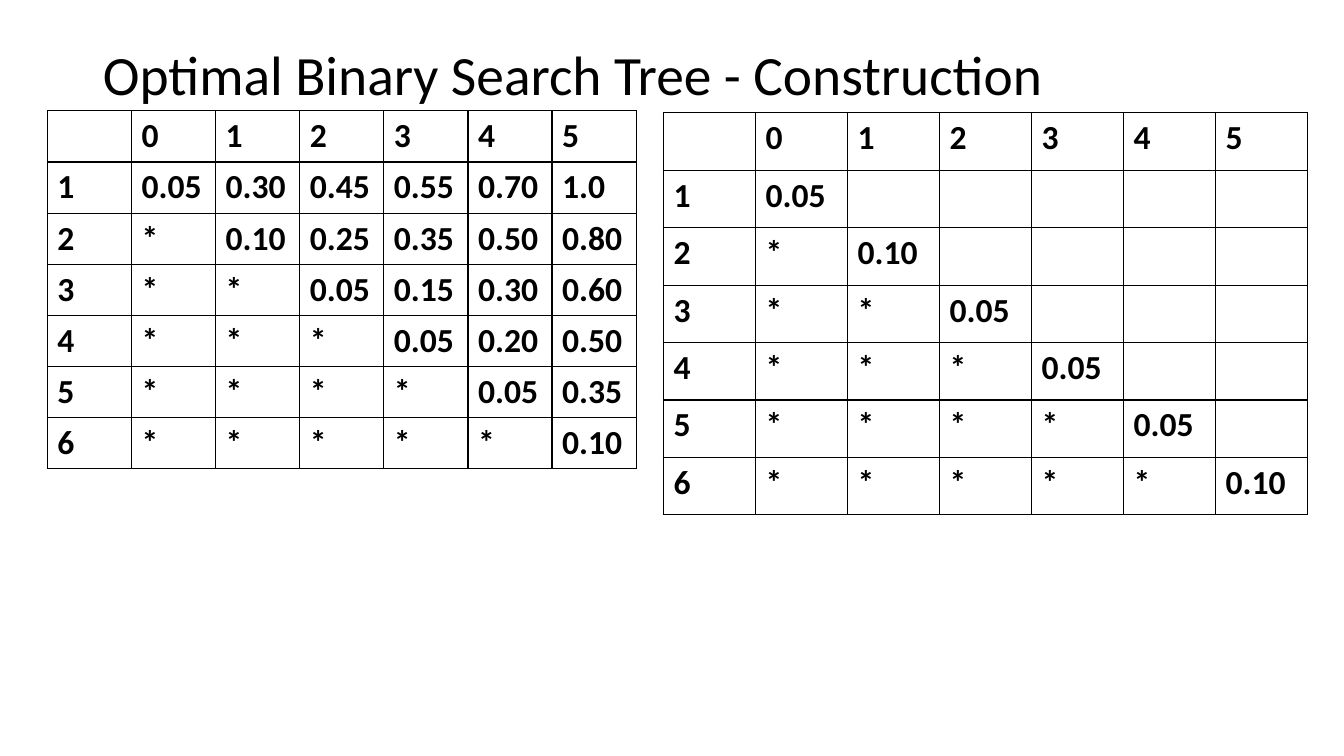
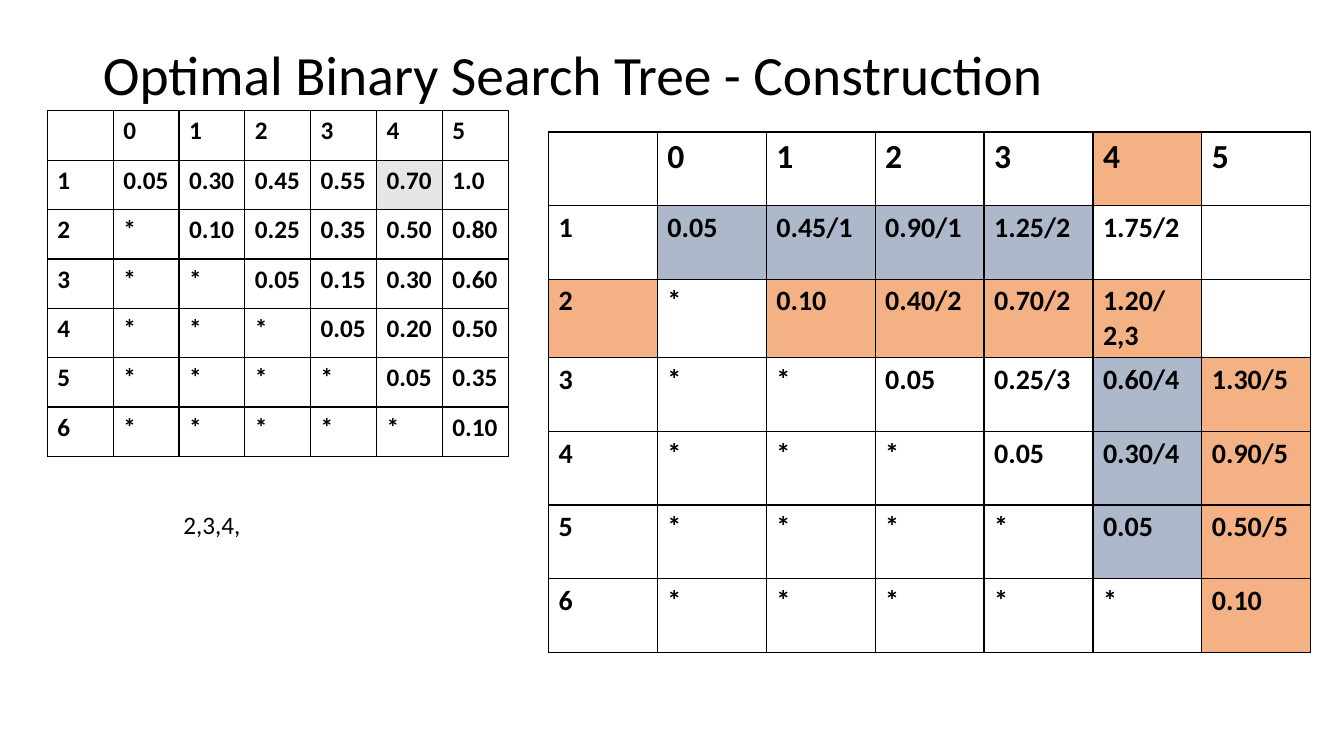
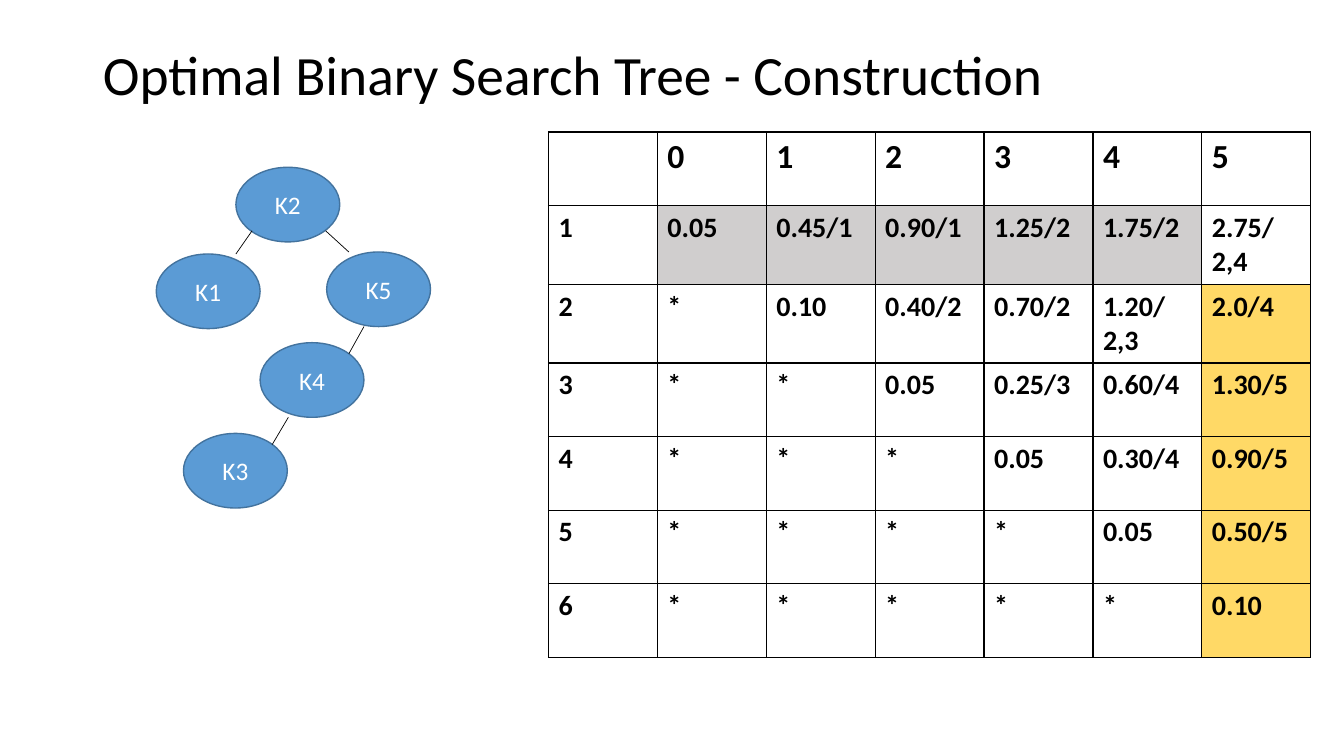
from lxml import etree
from pptx import Presentation
from pptx.dml.color import RGBColor
from pptx.enum import shapes, text
from pptx.oxml import ns
from pptx.util import Inches, Pt

BLACK = RGBColor(0x00, 0x00, 0x00)
WHITE = RGBColor(0xFF, 0xFF, 0xFF)
LIGHT_GREY = RGBColor(0xE7, 0xE6, 0xE6)
GREY = RGBColor(0xD0, 0xCE, 0xCE)
ORANGE = RGBColor(0xF4, 0xB1, 0x83)
SLATE = RGBColor(0xAD, 0xB9, 0xCA)
GOLD = RGBColor(0xFF, 0xD9, 0x66)
BLUE = RGBColor(0x5B, 0x9B, 0xD5)
DARK_BLUE = RGBColor(0x43, 0x73, 0x9E)

FONT = "Calibri"
TITLE = "Optimal Binary Search Tree - Construction"
ROOT_NOTE = "2,3,4,"
SIZE = 7  # rows and columns of every matrix, headings included

# Upper triangles: each row starts on the diagonal
WEIGHTS = [
    ["0.05", "0.30", "0.45", "0.55", "0.70", "1.0"],
    ["0.10", "0.25", "0.35", "0.50", "0.80"],
    ["0.05", "0.15", "0.30", "0.60"],
    ["0.05", "0.20", "0.50"],
    ["0.05", "0.35"],
    ["0.10"],
]
COSTS = [
    ["0.05", "0.45/1", "0.90/1", "1.25/2", "1.75/2", "2.75/ 2,4"],
    ["0.10", "0.40/2", "0.70/2", "1.20/ 2,3", "2.0/4"],
    ["0.05", "0.25/3", "0.60/4", "1.30/5"],
    ["0.05", "0.30/4", "0.90/5"],
    ["0.05", "0.50/5"],
    ["0.10"],
]
START_COSTS = [row[:1] for row in COSTS]
PARTIAL_COSTS = [row[:-1] for row in COSTS[:2]] + COSTS[2:]

# Highlighted cells as (row, column)
WEIGHT_MARKS = {(1, 5): LIGHT_GREY}
PARTIAL_MARKS = {
    **{(1, column): SLATE for column in range(1, 5)},
    **{(row, 5): SLATE for row in range(3, 6)},
    **{(2, column): ORANGE for column in (0, 2, 3, 4, 5)},
    **{(row, 6): ORANGE for row in range(3, 7)},
    (0, 5): ORANGE,
}
FINAL_MARKS = {
    **{(1, column): GREY for column in range(1, 6)},
    **{(row, 6): GOLD for row in range(2, 7)},
}

NODE_SIZE = (1.03, 0.74)
NODES = {"K2": (2.34, 1.66), "K1": (1.55, 2.52), "K5": (3.24, 2.5),
         "K4": (2.58, 3.4), "K3": (1.82, 4.3)}
BRANCHES = [
    ((2.5, 2.29), (2.34, 2.52)),
    ((3.61, 3.24), (3.46, 3.51)),
    ((2.86, 4.14), (2.7, 4.41)),
    ((3.23, 2.29), (3.46, 2.5)),
]


def inches(*lengths):
    """Convert several lengths at once."""
    return [Inches(length) for length in lengths]


def write(frame, words, size, color=BLACK, bold=False, **paragraph_format):
    """Put one formatted paragraph in a text frame."""
    paragraph = frame.paragraphs[0]
    run = paragraph.add_run()
    run.text = words
    font_format = {"name": FONT, "size": Pt(size), "bold": bold}
    for target, values in ((run.font, font_format), (paragraph, paragraph_format)):
        for key, value in values.items():
            setattr(target, key, value)
    run.font.color.rgb = color


def add_titled_slide(deck):
    """Add a slide with the shared title."""
    slide = deck.slides.add_slide(deck.slide_layouts[5])
    title = slide.shapes.title
    title.left, title.top, title.width, title.height = inches(0.92, 0.4, 11.5, 0.73)
    frame = title.text_frame
    frame.auto_size = text.MSO_AUTO_SIZE.NONE
    frame.vertical_anchor = text.MSO_ANCHOR.MIDDLE
    write(frame, TITLE, 39.6, alignment=text.PP_ALIGN.LEFT, line_spacing=0.9)
    return slide


def outline_cell(cell):
    """Draw a thin black border on all four sides of a cell."""
    properties = cell._tc.get_or_add_tcPr()
    for side in ("a:lnL", "a:lnR", "a:lnT", "a:lnB"):
        border = etree.SubElement(properties, ns.qn(side), w=str(Pt(1)))
        fill = etree.SubElement(border, ns.qn("a:solidFill"))
        etree.SubElement(fill, ns.qn("a:srgbClr"), val=str(BLACK))


def matrix_rows(triangle):
    """Give headings, stars below the diagonal and blanks at the end."""
    yield [""] + [str(column) for column in range(SIZE - 1)]
    for index, values in enumerate(triangle):
        row = [str(index + 1)] + ["*"] * index + values
        yield row + [""] * (SIZE - len(row))


def add_matrix(slide, triangle, place, row_height, head_size, body_size, marks=None):
    """Add a square table; place is left, top and width."""
    left, top, width = place
    table = slide.shapes.add_table(
        SIZE, SIZE, *inches(left, top, width, row_height * SIZE)).table
    table.first_row = table.horz_banding = False
    for row in table.rows:
        row.height = Inches(row_height)
    for row, values in enumerate(matrix_rows(triangle)):
        for column, value in enumerate(values):
            cell = table.cell(row, column)
            outline_cell(cell)
            cell.fill.solid()
            cell.fill.fore_color.rgb = (marks or {}).get((row, column), WHITE)
            if value:
                write(cell.text_frame, value, body_size if row else head_size, bold=True)


def add_node(slide, key, place):
    """Add one tree node."""
    node = slide.shapes.add_shape(
        shapes.MSO_SHAPE.OVAL, *inches(*place, *NODE_SIZE))
    node.shadow.inherit = False
    node.fill.solid()
    node.fill.fore_color.rgb = BLUE
    node.line.color.rgb = DARK_BLUE
    node.line.width = Pt(1)
    node.text_frame.vertical_anchor = text.MSO_ANCHOR.MIDDLE
    write(node.text_frame, key, 18, WHITE, alignment=text.PP_ALIGN.CENTER)


def add_branch(slide, start, end):
    """Join two nodes with a thin line."""
    branch = slide.shapes.add_connector(
        shapes.MSO_CONNECTOR.STRAIGHT, *inches(*start, *end))
    branch.line.color.rgb = BLACK
    branch.line.width = Pt(0.5)
    etree.SubElement(branch._element.spPr, ns.qn("a:effectLst"))


deck = Presentation()
deck.slide_width, deck.slide_height = inches(13.33, 7.5)

start = add_titled_slide(deck)
add_matrix(start, WEIGHTS, (0.47, 1.1, 5.84), 0.5, 24, 24)
add_matrix(start, START_COSTS, (6.58, 1.12, 6.39), 0.57, 24, 24)

partial = add_titled_slide(deck)
add_matrix(partial, WEIGHTS, (0.47, 1.1, 4.57), 0.49, 18, 18, WEIGHT_MARKS)
add_matrix(partial, PARTIAL_COSTS, (5.44, 1.31, 7.56), 0.73, 24, 20, PARTIAL_MARKS)
root_note = partial.shapes.add_textbox(*inches(1.72, 5, 0.78, 0.4)).text_frame
root_note.word_wrap = False
root_note.auto_size = text.MSO_AUTO_SIZE.SHAPE_TO_FIT_TEXT
write(root_note, ROOT_NOTE, 18)

final = add_titled_slide(deck)
add_matrix(final, COSTS, (5.44, 1.31, 7.56), 0.73, 24, 20, FINAL_MARKS)
for key, place in NODES.items():
    add_node(final, key, place)
for branch_start, branch_end in BRANCHES:
    add_branch(final, branch_start, branch_end)

deck.save("out.pptx")
